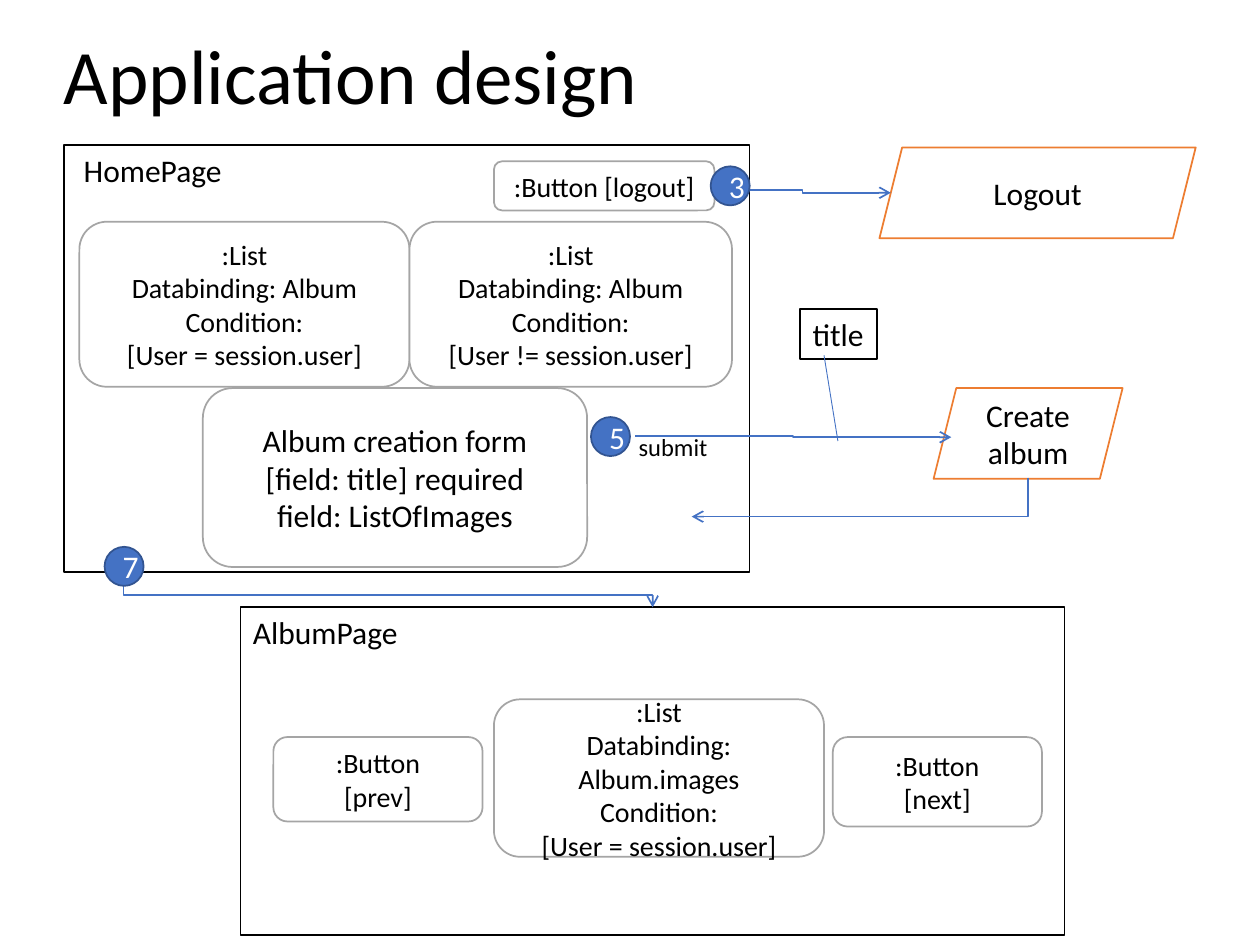
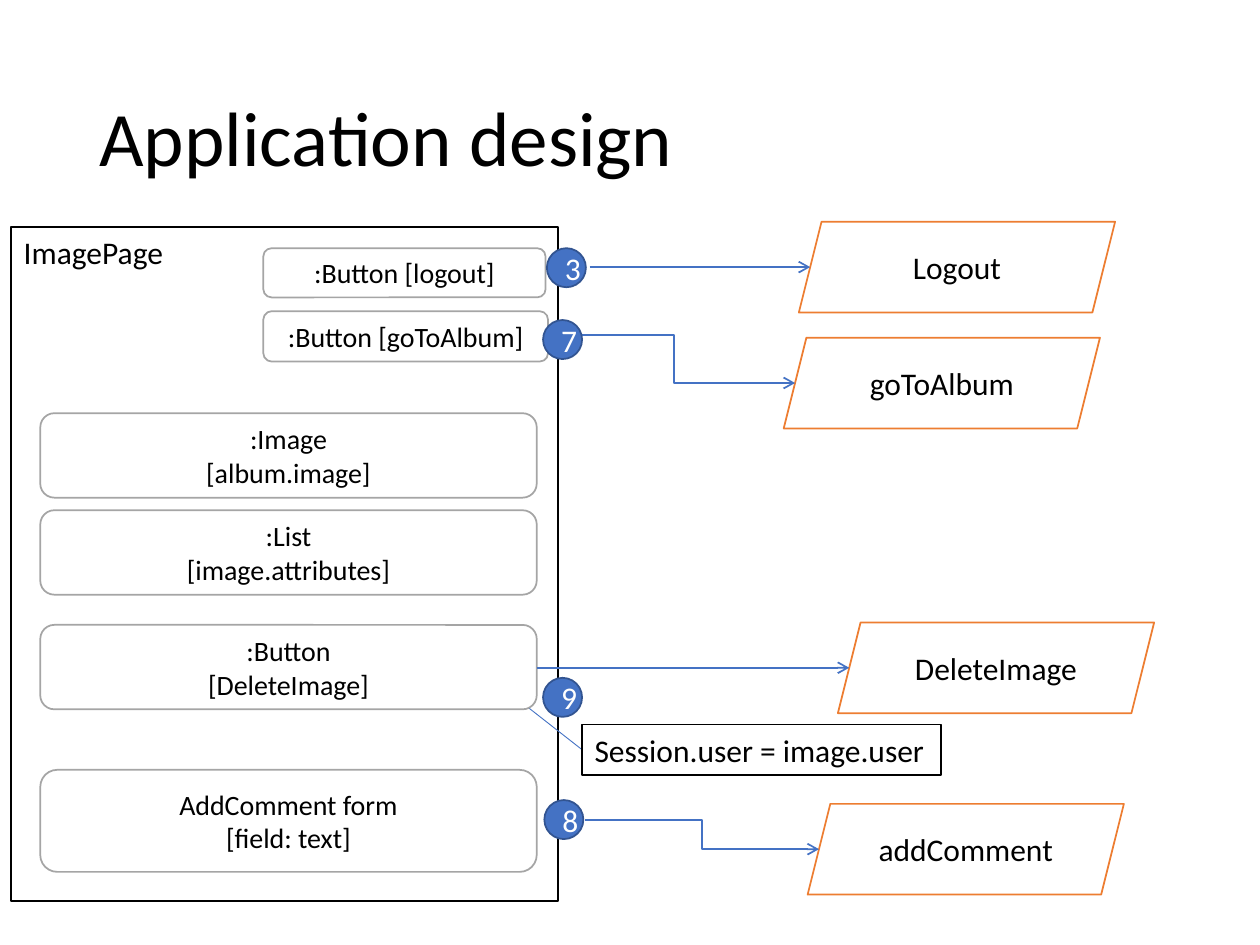
from lxml.etree import SubElement
from pptx import Presentation
from pptx.dml.color import RGBColor
from pptx.enum.shapes import MSO_CONNECTOR, MSO_SHAPE
from pptx.enum.text import MSO_ANCHOR, MSO_AUTO_SIZE, PP_ALIGN
from pptx.oxml.ns import qn
from pptx.util import Pt

EMU_PER_PX = 9144
COLOURS = {
    "paper": "FFFFFF",
    "ink": "000000",
    "component": "A5A5A5",
    "action": "ED7D31",
    "flow": "4472C4",
    "badge_edge": "325491",
}
BADGE = 31
COMPONENT_WIDTH = 394
ACTION_WIDTH, ACTION_HEIGHT = 251, 72

CENTRED = {"alignment": PP_ALIGN.CENTER}
LEFT = {"alignment": PP_ALIGN.LEFT}
MIDDLE = {"vertical_anchor": MSO_ANCHOR.MIDDLE, "word_wrap": True}
TOP = {"vertical_anchor": MSO_ANCHOR.TOP, "word_wrap": True}
HUGGING = {"vertical_anchor": MSO_ANCHOR.TOP, "word_wrap": False,
           "auto_size": MSO_AUTO_SIZE.SHAPE_TO_FIT_TEXT}


def px(length):
    """Turn px into EMU."""
    return round(length * EMU_PER_PX)


def colour(name):
    """Look up a named colour."""
    return RGBColor.from_string(COLOURS[name])


def apply_format(target, values):
    """Set each attribute in values on the target."""
    for name, value in values.items():
        setattr(target, name, value)


def write_text(shape, text, size, frame_format, paragraph_format, ink="ink"):
    """Fill a shape with text in the shared font."""
    frame = shape.text_frame
    frame.text = text
    apply_format(frame, frame_format)
    for paragraph in frame.paragraphs:
        apply_format(paragraph, paragraph_format)
        for run in paragraph.runs:
            apply_format(run.font, {"name": "Calibri", "size": Pt(size)})
            run.font.color.rgb = colour(ink)


def add_outlined(slide, geometry, box, fill, edge):
    """Add a filled preset shape with a one-point outline."""
    shape = slide.shapes.add_shape(geometry, *map(px, box))
    shape.shadow.inherit = False
    shape.fill.solid()
    shape.fill.fore_color.rgb = colour(fill)
    shape.line.color.rgb = colour(edge)
    shape.line.width = Pt(1)
    return shape


def add_text_box(slide, box, text, size, frame_format, paragraph_format):
    """Add plain text without an outline."""
    shape = slide.shapes.add_textbox(*map(px, box))
    write_text(shape, text, size, frame_format, paragraph_format)


def add_title(slide, *box):
    """Add the slide title."""
    add_text_box(slide, box, "Application design", 44, MIDDLE, LEFT | {"line_spacing": 0.9})


def add_page(slide, name, *box):
    """Add the frame of an application page."""
    shape = add_outlined(slide, MSO_SHAPE.RECTANGLE, box, "paper", "ink")
    write_text(shape, name, 18, TOP, LEFT)


def add_component(slide, text, *box, size=16):
    """Add a rounded user interface component."""
    shape = add_outlined(slide, MSO_SHAPE.ROUNDED_RECTANGLE, box, "paper", "component")
    write_text(shape, text, size, MIDDLE, CENTRED)


def add_list(slide, binding, condition, *box):
    """Add a list component with its data binding."""
    text = f":List\nDatabinding: {binding}\nCondition:\n[{condition}]"
    add_component(slide, text, *box)


def add_action(slide, name, left, top, width=ACTION_WIDTH):
    """Add a slanted action box."""
    box = (left, top, width, ACTION_HEIGHT)
    shape = add_outlined(slide, MSO_SHAPE.PARALLELOGRAM, box, "paper", "action")
    write_text(shape, name, 18, MIDDLE, CENTRED)


def add_badge(slide, number, left, top):
    """Add a numbered round badge."""
    shape = add_outlined(slide, MSO_SHAPE.OVAL, (left, top, BADGE, BADGE), "flow", "badge_edge")
    write_text(shape, str(number), 18, MIDDLE, CENTRED, "paper")


def add_parameter(slide, text, *box):
    """Add an outlined note that hugs its text."""
    shape = add_outlined(slide, MSO_SHAPE.RECTANGLE, box, "paper", "ink")
    write_text(shape, text, 18, HUGGING, LEFT)


def add_line(slide, kind, start, end, width):
    """Add a connector without a shadow."""
    connector = slide.shapes.add_connector(kind, *map(px, start + end))
    connector.line.color.rgb = colour("flow")
    connector.line.width = Pt(width)
    SubElement(connector._element.spPr, qn("a:effectLst"))
    return connector


def add_note_line(slide, start, end):
    """Tie a note to what it describes with a thin line."""
    add_line(slide, MSO_CONNECTOR.STRAIGHT, start, end, 0.5)


def add_flow(slide, start, end):
    """Add an elbow arrow that leaves sideways."""
    connector = add_line(slide, MSO_CONNECTOR.ELBOW, start, end, 1)
    SubElement(connector.line._get_or_add_ln(), qn("a:tailEnd"), type="arrow")
    return connector


def add_downward_flow(slide, start, end, preset="bentConnector3"):
    """Add an elbow arrow that leaves downwards, as a turned sideways one."""
    (x1, y1), (x2, y2) = start, end
    middle_x, middle_y = (x1 + x2) / 2, (y1 + y2) / 2
    half_width, half_height = (y2 - y1) / 2, abs(x2 - x1) / 2
    side = 1 if x2 < x1 else -1
    connector = add_flow(
        slide,
        (middle_x - side * half_width, middle_y - half_height),
        (middle_x + side * half_width, middle_y + half_height),
    )
    connector.rotation = 90 * side % 360
    connector._element.spPr.find(qn("a:prstGeom")).set("prst", preset)


def build_home_and_album(slide):
    """Draw the home page, the album page and their actions."""
    add_title(slide, 41, 1, 900, 125)
    add_page(slide, " HomePage", 51, 115, 544, 339)
    add_component(
        slide, "Album creation form\v[field: title] required\nfield: ListOfImages",
        161, 308, 305, 142, size=18,
    )
    add_badge(slide, 5, 469, 331)
    add_text_box(slide, (497, 338, 75, 34), "submit", 14, HUGGING, LEFT)
    add_parameter(slide, "title", 635, 245, 61, 40)
    add_note_line(slide, (654, 282), (665, 350))
    add_action(slide, "Create album", 741, 308, 150)
    add_downward_flow(slide, (816, 379), (549, 410), "bentConnector2")
    add_page(slide, "AlbumPage", 191, 482, 654, 260)
    add_downward_flow(slide, (98, 462), (518, 482))
    add_list(slide, "Album", "User = session.user", 63, 176, 262, 131)
    add_list(slide, "Album", "User != session.user", 325, 176, 256, 131)
    add_flow(slide, (504, 346), (755, 347))
    add_list(slide, "Album.images", "User = session.user", 392, 555, 262, 125)
    add_action(slide, "Logout", 698, 117)
    add_component(slide, ":Button\n[prev]", 217, 585, 166, 67)
    add_component(slide, ":Button\n[next]", 661, 585, 166, 71)
    add_component(slide, ":Button [logout]", 392, 128, 175, 39)
    add_flow(slide, (567, 151), (707, 153))
    add_badge(slide, 3, 564, 132)
    add_badge(slide, 7, 83, 434)


def build_image_page(slide):
    """Draw the image page and its actions."""
    add_title(slide, 69, 40, 862, 145)
    add_page(slide, "ImagePage", 9, 180, 434, 535)
    add_note_line(slide, (462, 595), (393, 541))
    add_parameter(slide, "Session.user = image.user", 462, 575, 285, 40)
    for text, top, height in (
        (":Image\n[album.image]", 328, 67),
        (":List\n[image.attributes]", 405, 67),
        (":Button\n[DeleteImage]", 496, 67),
        ("AddComment form\v[field: text]", 611, 81),
    ):
        add_component(slide, text, 32, top, COMPONENT_WIDTH, height)
    add_component(slide, ":Button [logout]", 209, 197, 224, 39)
    add_component(slide, ":Button [goToAlbum]", 209, 247, 226, 40)
    for name, left, top, start in (
        ("Logout", 634, 176, (468, 212)),
        ("goToAlbum", 622, 268, (439, 266)),
        ("DeleteImage", 665, 494, (426, 530)),
        ("addComment", 641, 638, (464, 651)),
    ):
        add_action(slide, name, left, top)
        add_flow(slide, start, (left + ACTION_HEIGHT // 8, top + ACTION_HEIGHT // 2))
    for number, left, top in ((3, 434, 197), (7, 431, 254), (9, 431, 538), (8, 432, 635)):
        add_badge(slide, number, left, top)


def main():
    """Build and save the presentation."""
    presentation = Presentation()
    apply_format(presentation, {"slide_width": px(1000), "slide_height": px(750)})
    blank = presentation.slide_layouts[6]
    for build in (build_home_and_album, build_image_page):
        build(presentation.slides.add_slide(blank))
    presentation.save("out.pptx")


if __name__ == "__main__":
    main()
